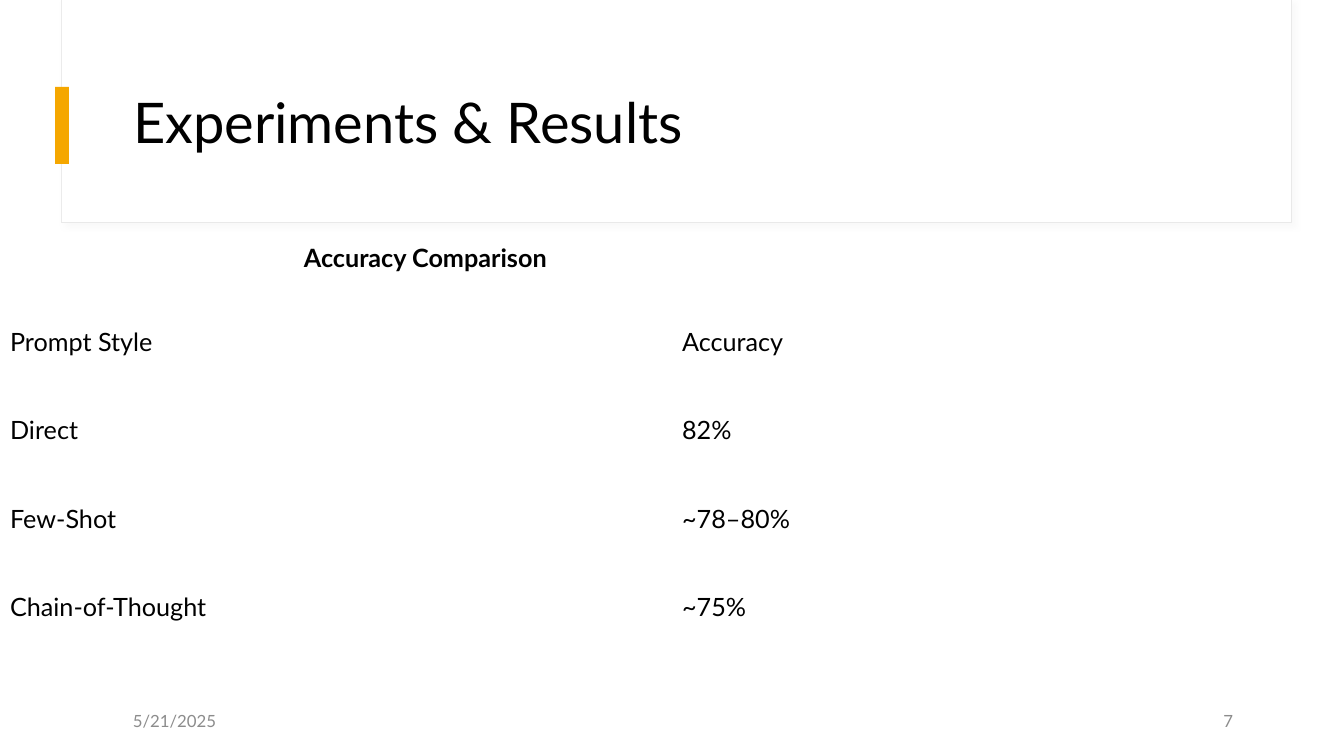
from dataclasses import dataclass

from lxml import etree
from pptx import Presentation
from pptx import util as u
from pptx.dml.color import RGBColor
from pptx.enum import shapes, text
from pptx.oxml import ns

PX_PER_INCH = 100.8
FONT = "Lato"
BLACK, GREY, WHITE, AMBER, EDGE, SHADE = (
    "000000", "8C8C8C", "FFFFFF", "F5A700", "E9E9E9", "D9D9D9")
LEFT, RIGHT = text.PP_ALIGN.LEFT, text.PP_ALIGN.RIGHT
TOP, MIDDLE = text.MSO_ANCHOR.TOP, text.MSO_ANCHOR.MIDDLE


@dataclass(frozen=True)
class Box:
    x: int
    y: int
    w: int
    h: int


@dataclass(frozen=True)
class Panel:
    box: Box
    fill: str
    line: str = ""
    shadow: str = ""


@dataclass(frozen=True)
class Label:
    box: Box
    words: str
    size: int
    color: str = BLACK
    bold: bool = False
    align: text.PP_ALIGN = LEFT
    anchor: text.MSO_ANCHOR = MIDDLE


@dataclass(frozen=True)
class Grid:
    box: Box
    rows: list[tuple[str, str]]


PANELS = [
    Panel(Box(62, 0, 1230, 223), WHITE, EDGE, SHADE),
    Panel(Box(62, 0, 1229, 222), WHITE),
    Panel(Box(55, 87, 14, 77), AMBER),
]
TITLE = Label(Box(123, 60, 1121, 130), "Experiments & Results", 40)
LABELS = [
    Label(Box(123, 701, 302, 40), "5/21/2025", 12, GREY),
    Label(Box(941, 701, 302, 40), "7", 12, GREY, align=RIGHT),
    Label(Box(294, 237, 302, 72), "Accuracy Comparison", 18, bold=True, anchor=TOP),
]
BLANK_GRID = Grid(Box(123, 273, 1121, 161), [("", "")] * 4)
ACCURACY_GRID = Grid(Box(0, 297, 1344, 354), [
    ("Prompt Style", "Accuracy"),
    ("Direct", "82%"),
    ("Few-Shot", "~78–80%"),
    ("Chain-of-Thought", "~75%"),
])


def px(n: int) -> u.Emu:
    return u.Emu(round(n * 914400 / PX_PER_INCH))


def place(box: Box) -> tuple:
    return px(box.x), px(box.y), px(box.w), px(box.h)


def rgb(color: str) -> RGBColor:
    return RGBColor.from_string(color)


def apply(target, values: dict) -> None:
    for name, value in values.items():
        setattr(target, name, value)


def write(tf, words: str, size: int, color: str = BLACK, bold: bool = False,
          align: text.PP_ALIGN = LEFT) -> None:
    p = tf.paragraphs[0]
    p.alignment = align
    r = p.add_run()
    r.text = words
    apply(r.font, {"name": FONT, "size": u.Pt(size), "bold": bold})
    r.font.color.rgb = rgb(color)


def fill_label(sp, label: Label) -> None:
    tf = sp.text_frame
    apply(tf, {"word_wrap": True, "auto_size": text.MSO_AUTO_SIZE.NONE,
               "vertical_anchor": label.anchor})
    write(tf, label.words, label.size, label.color, label.bold, label.align)


def add_shadow(sp, color: str) -> None:
    effects = sp.element.spPr.find(ns.qn("a:effectLst"))
    shadow = etree.SubElement(effects, ns.qn("a:outerShdw"), blurRad=str(u.Pt(4)),
                              dist=str(u.Pt(3)), dir=str(45 * 60000))
    tint = etree.SubElement(shadow, ns.qn("a:srgbClr"), val=color)
    etree.SubElement(tint, ns.qn("a:alpha"), val="15000")


def add_panel(s, panel: Panel) -> None:
    sp = s.shapes.add_shape(shapes.MSO_SHAPE.RECTANGLE, *place(panel.box))
    sp.shadow.inherit = False
    sp.fill.solid()
    sp.fill.fore_color.rgb = rgb(panel.fill)
    if panel.line:
        sp.line.color.rgb = rgb(panel.line)
        sp.line.width = u.Pt(0.75)
    else:
        sp.line.fill.background()
    if panel.shadow:
        add_shadow(sp, panel.shadow)


def add_title(s, label: Label) -> None:
    sp = s.shapes.title
    apply(sp, dict(zip(("left", "top", "width", "height"), place(label.box))))
    fill_label(sp, label)
    sp.text_frame.paragraphs[0].line_spacing = 0.9
    s.shapes.element.append(sp.element)


def add_grid(s, grid: Grid) -> None:
    table = s.shapes.add_table(len(grid.rows), 2, *place(grid.box)).table
    apply(table, {"first_row": False, "horz_banding": False})
    for i, row in enumerate(grid.rows):
        for j, words in enumerate(row):
            cell = table.cell(i, j)
            cell.fill.background()
            cell.vertical_anchor = MIDDLE
            if words:
                write(cell.text_frame, words, 18)


def main() -> None:
    prs = Presentation()
    apply(prs, {"slide_width": px(1344), "slide_height": px(756)})
    s = prs.slides.add_slide(prs.slide_layouts[5])
    for panel in PANELS:
        add_panel(s, panel)
    add_title(s, TITLE)
    add_grid(s, BLANK_GRID)
    for label in LABELS[:2]:
        fill_label(s.shapes.add_textbox(*place(label.box)), label)
    add_grid(s, ACCURACY_GRID)
    for label in LABELS[2:]:
        fill_label(s.shapes.add_textbox(*place(label.box)), label)
    prs.save("out.pptx")


if __name__ == "__main__":
    main()
